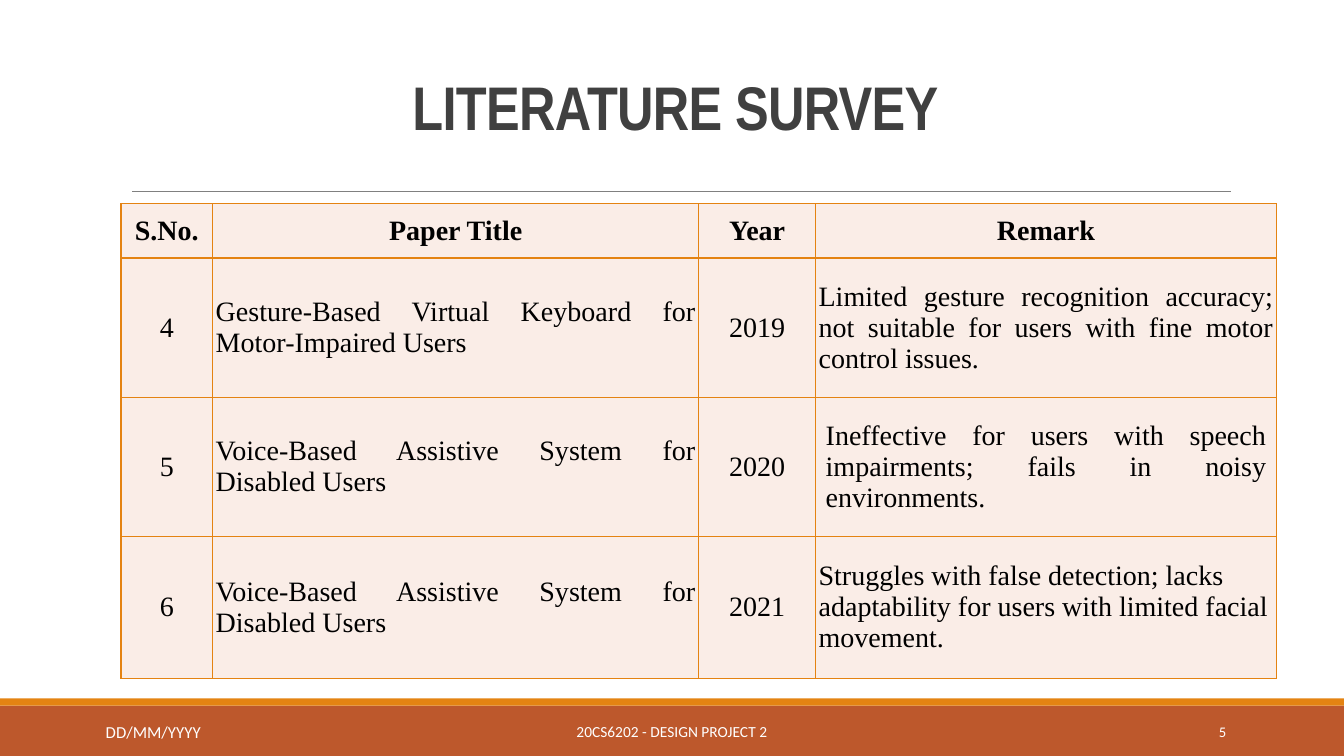
import pptx
import pptx.util
import pptx.dml.color
import pptx.enum.shapes
import pptx.enum.text
import pptx.oxml
import pptx.oxml.ns

Inches = pptx.util.Inches
Align = pptx.enum.text.PP_ALIGN
Middle = pptx.enum.text.MSO_ANCHOR.MIDDLE

COLOURS = {
    "footer": "BD582C",
    "accent": "E48312",
    "rule": "808080",
    "cell": "FAEDE7",
    "title": "404040",
    "body": "000000",
    "light": "FFFFFF",
}

COLUMN_WIDTHS = [0.91, 4.82, 1.16, 4.57]
ROW_HEIGHTS = [0.54, 1.38, 1.38, 1.41]
PAPERS = [
    ["S.No.", "Paper Title", "Year", "Remark"],
    ["4", "Gesture-Based Virtual Keyboard for Motor-Impaired Users", "2019",
     "Limited gesture recognition accuracy; not suitable for users with fine "
     "motor control issues."],
    ["5", "Voice-Based Assistive System for Disabled Users", "2020",
     "Ineffective for users with speech impairments; fails in noisy environments."],
    ["6", "Voice-Based Assistive System for Disabled Users", "2021",
     "Struggles with false detection; lacks adaptability for users with limited "
     "facial movement."],
]


def colour(name):
    return pptx.dml.color.RGBColor.from_string(COLOURS[name])


class SurveySlide:
    heading_font = "Arial Narrow"
    footer_font = "Calibri"
    table_font = "Times New Roman"

    def __init__(self, deck):
        self.slide = deck.slides.add_slide(deck.slide_layouts[5])

    def format_text(self, frame, font, size, colour_name, align, bold=False):
        for paragraph in frame.paragraphs:
            paragraph.alignment = align
            for run in paragraph.runs:
                run.font.name = font
                run.font.size = pptx.util.Pt(size)
                run.font.bold = bold
                run.font.color.rgb = colour(colour_name)

    def title(self, text, left, top, width, height):
        heading = self.slide.shapes.title
        heading.left, heading.top = Inches(left), Inches(top)
        heading.width, heading.height = Inches(width), Inches(height)
        frame = heading.text_frame
        frame.text = text
        frame.vertical_anchor = Middle
        self.format_text(frame, self.heading_font, 44, "title", Align.CENTER, True)
        paragraph = frame.paragraphs[0]
        paragraph.line_spacing = 0.85
        paragraph.runs[0].font._element.set("spc", "-50")

    def band(self, colour_name, top, height):
        band = self.slide.shapes.add_shape(
            pptx.enum.shapes.MSO_SHAPE.RECTANGLE,
            0, Inches(top), Inches(13.33), Inches(height))
        band.shadow.inherit = False
        band.fill.solid()
        band.fill.fore_color.rgb = colour(colour_name)
        band.line.fill.background()

    def rule(self, left, right, y):
        rule = self.slide.shapes.add_connector(
            pptx.enum.shapes.MSO_CONNECTOR.STRAIGHT,
            Inches(left), Inches(y), Inches(right), Inches(y))
        rule.line.color.rgb = colour("rule")
        rule.line.width = pptx.util.Pt(0.5)
        properties = rule._element.spPr
        properties.append(pptx.oxml.ns.qn("a:effectLst") and
                          pptx.oxml.parse_xml(
                              f'<a:effectLst {pptx.oxml.ns.nsdecls("a")}/>'))

    def label(self, text, left, top, width, height, size, align):
        frame = self.slide.shapes.add_textbox(
            Inches(left), Inches(top), Inches(width), Inches(height)).text_frame
        frame.word_wrap = True
        frame.text = text
        frame.vertical_anchor = Middle
        self.format_text(frame, self.footer_font, size, "light", align)

    def cell_borders(self, cell):
        properties = cell._tc.get_or_add_tcPr()
        for position, side in enumerate(["lnL", "lnR", "lnT", "lnB"]):
            properties.insert(position, pptx.oxml.parse_xml(
                f'<a:{side} {pptx.oxml.ns.nsdecls("a")} w="12700"><a:solidFill>'
                f'<a:srgbClr val="{COLOURS["accent"]}"/></a:solidFill></a:{side}>'))

    def table(self, rows, left, top, widths, heights):
        table = self.slide.shapes.add_table(
            len(rows), len(widths), Inches(left), Inches(top),
            Inches(sum(widths)), Inches(sum(heights))).table
        for column, width in zip(table.columns, widths):
            column.width = Inches(width)
        for row, height in zip(table.rows, heights):
            row.height = Inches(height)
        for r, texts in enumerate(rows):
            for c, text in enumerate(texts):
                cell = table.cell(r, c)
                cell.text = text
                cell.vertical_anchor = Middle
                # The remark on paper 5 keeps the wider default margins
                if (r, c) != (2, 3):
                    cell.margin_left = cell.margin_right = Inches(0.03)
                    cell.margin_top = cell.margin_bottom = Inches(0.02)
                cell.fill.solid()
                cell.fill.fore_color.rgb = colour("cell")
                self.cell_borders(cell)
                if r == 0 or c in (0, 2):
                    align = Align.CENTER
                else:
                    align = Align.LEFT if (r, c) == (3, 3) else Align.JUSTIFY
                self.format_text(cell.text_frame, self.table_font, 20, "body",
                                 align, r == 0)


def main():
    deck = pptx.Presentation()
    deck.slide_width, deck.slide_height = Inches(13.33), Inches(7.5)
    survey = SurveySlide(deck)

    # Footer bands and title rule
    survey.band("footer", 7, 0.5)
    survey.band("accent", 6.93, 0.07)
    survey.rule(1.31, 12.21, 1.9)

    # Title and surveyed papers
    survey.title("LITERATURE SURVEY", 1.2, 0.31, 11, 1.59)
    survey.table(PAPERS, 1.2, 2.02, COLUMN_WIDTHS, ROW_HEIGHTS)

    # Footer texts
    survey.label("20CS6202 - DESIGN PROJECT 2", 4.03, 7.06, 5.27, 0.4, 11, Align.CENTER)
    survey.label("5", 10.83, 7.06, 1.43, 0.4, 10.5, Align.RIGHT)
    survey.label("DD/MM/YYYY", 0.95, 7.11, 2.59, 0.3, 12, Align.LEFT)

    deck.save("out.pptx")


if __name__ == "__main__":
    main()
